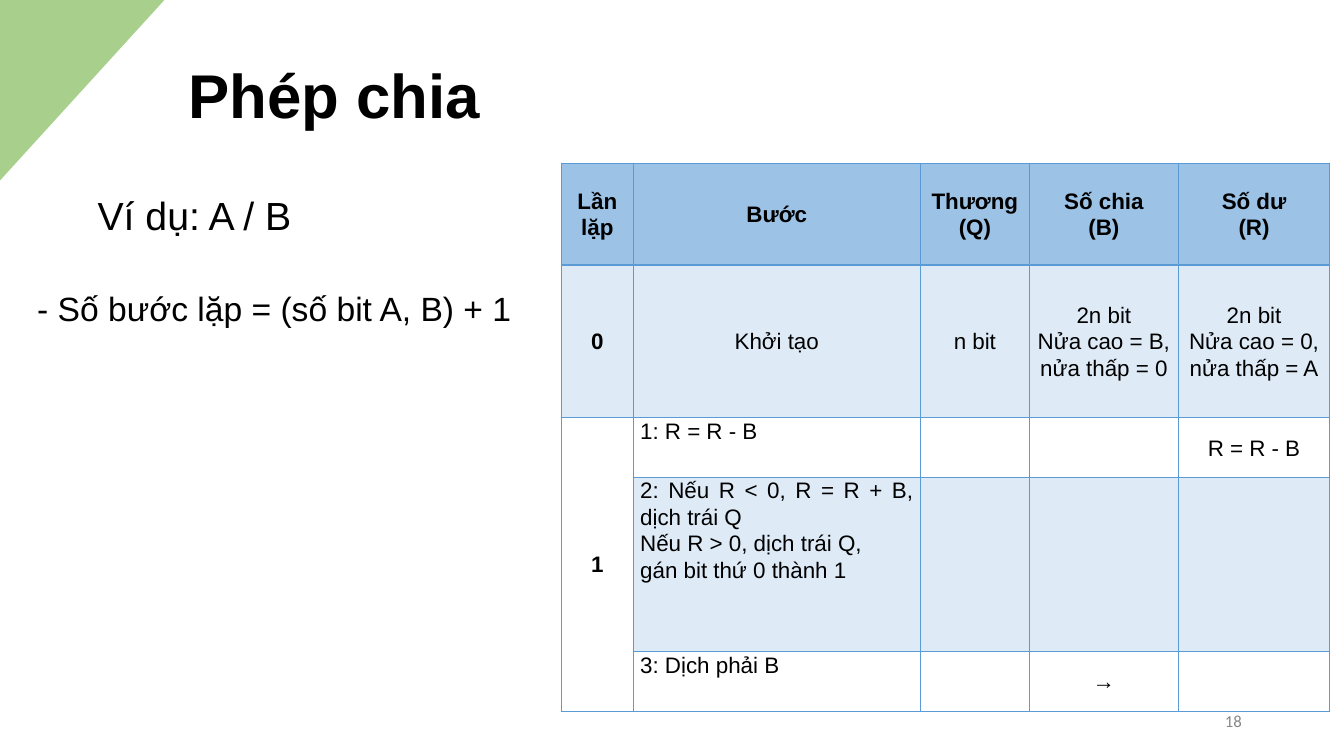
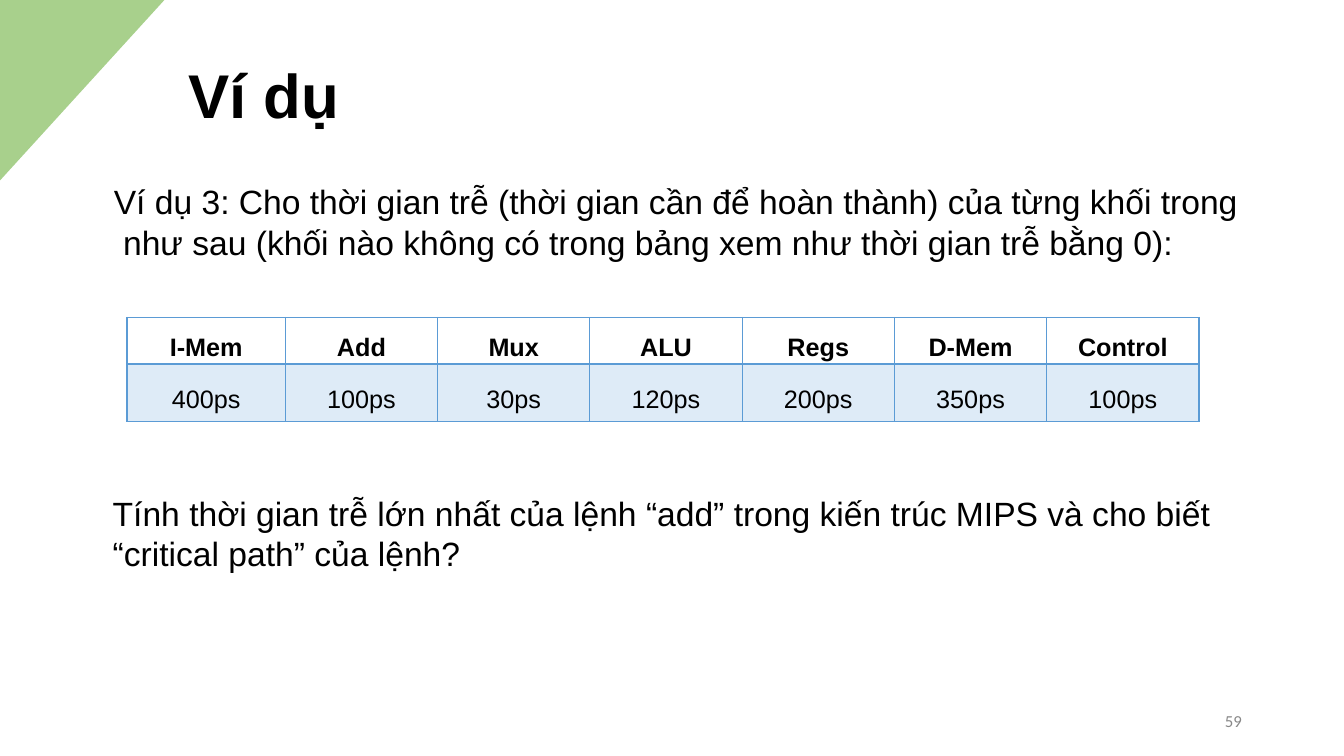
from lxml import etree
from pptx import Presentation, util as u
from pptx.dml.color import RGBColor
from pptx.enum import text as t
from pptx.oxml.ns import qn

BLACK = RGBColor(0x00, 0x00, 0x00)
WHITE = RGBColor(0xFF, 0xFF, 0xFF)
GREY = RGBColor(0x88, 0x88, 0x88)
GREEN = RGBColor(0xA8, 0xD0, 0x8C)
BLUE = RGBColor(0x5B, 0x9B, 0xD5)
HEADER_BLUE = RGBColor(0x9C, 0xC2, 0xE5)
PALE_BLUE = RGBColor(0xDE, 0xEB, 0xF7)

LEFT, CENTER, RIGHT, JUSTIFY = (
    t.PP_ALIGN.LEFT, t.PP_ALIGN.CENTER, t.PP_ALIGN.RIGHT, t.PP_ALIGN.JUSTIFY)
TOP, MIDDLE = t.MSO_ANCHOR.TOP, t.MSO_ANCHOR.MIDDLE

deck = Presentation()
deck.slide_width, deck.slide_height = u.Inches(13.33), u.Inches(7.5)
# One column or row is a hundredth of the slide's width or height.
COL, ROW = deck.slide_width / 100, deck.slide_height / 100


def write(frame, content, size=24, font="Arial", color=BLACK, bold=False,
          align=LEFT, anchor=TOP, spacing=1.0, hanging=0):
    """Fill a text frame, one paragraph per line of content."""
    frame.word_wrap = True
    frame.vertical_anchor = anchor
    for number, line in enumerate(content.split("\n")):
        paragraph = frame.paragraphs[0] if number == 0 else frame.add_paragraph()
        if hanging:
            properties = paragraph._p.get_or_add_pPr()
            properties.set("marL", str(u.Pt(hanging)))
            properties.set("indent", str(-u.Pt(hanging)))
        paragraph.alignment = align
        paragraph.line_spacing = spacing
        run = paragraph.add_run()
        run.text = line
        run.font.size, run.font.name = u.Pt(size), font
        run.font.bold, run.font.color.rgb = bold, color


def add_ruled_table(slide, left, top, widths, heights, rows, fills, size, spacing):
    """Draw a blue-ruled table with a bold header; fills holds one colour per row."""
    table = slide.shapes.add_table(
        len(rows), len(widths), int(left * COL), int(top * ROW),
        int(sum(widths) * COL), int(sum(heights) * ROW)).table
    table.first_row = table.horz_banding = False
    for column, width in zip(table.columns, widths):
        column.width = int(width * COL)
    for row, height in zip(table.rows, heights):
        row.height = int(height * ROW)
    for r, entries in enumerate(rows):
        for c, entry in enumerate(entries):
            cell = table.cell(r, c)
            cell.margin_left = cell.margin_right = u.Inches(0.07)
            cell.margin_top = cell.margin_bottom = 0
            cell.fill.solid()
            cell.fill.fore_color.rgb = fills[r]
            step = entry[1:2] == ":"
            cell.vertical_anchor = TOP if step else MIDDLE
            if entry:
                write(cell.text_frame, entry, size=size, spacing=spacing,
                      bold=r == 0 or entry.isdigit(),
                      align=JUSTIFY if step else CENTER,
                      anchor=TOP if step else MIDDLE)
                cell.vertical_anchor = TOP if step else MIDDLE
            for place, side in enumerate(("L", "R", "T", "B")):
                thick = (r, side) in ((0, "B"), (1, "T"))
                border = etree.Element(qn("a:ln" + side), w=str(u.Pt(2 if thick else 1)))
                paint = etree.SubElement(border, qn("a:solidFill"))
                etree.SubElement(paint, qn("a:srgbClr"), val=str(BLUE))
                cell._tc.get_or_add_tcPr().insert(place, border)
    return table


pages = [
    ("Phép chia", "18", [
        ("Ví dụ: A / B", (6.53, 24.67, 16.9, 7.6), {"size": 28}),
        ("- Số bước lặp = (số bit A, B) + 1", (2.03, 37.47, 39, 6.67), {}),
    ]),
    ("Ví dụ", "59", [
        ("Ví dụ 3: Cho thời gian trễ (thời gian cần để hoàn thành) của từng khối "
         "trong như sau (khối nào không có trong bảng xem như thời gian trễ bằng 0):",
         (7.73, 23.33, 85.5, 12.13), {"hanging": 6.67}),
        ("Tính thời gian trễ lớn nhất của lệnh “add” trong kiến trúc MIPS và cho biết "
         "“critical path” của lệnh?", (7.65, 64.53, 84.68, 17.47), {}),
    ]),
]

slides = []
for title, page_number, body in pages:
    slide = deck.slides.add_slide(deck.slide_layouts[6])
    outline = slide.shapes.build_freeform(0, 0)
    outline.add_line_segments([(int(12.23 * COL), 0), (0, int(23.87 * ROW))])
    corner = outline.convert_to_shape()
    corner.shadow.inherit = False
    corner.fill.solid()
    corner.fill.fore_color.rgb = GREEN
    corner.line.fill.background()

    shared = [
        (title, (13.28, 8.13, 75.83, 9.87),
         {"size": 44.1, "bold": True, "anchor": MIDDLE, "spacing": 0.9}),
        (page_number, (70.65, 92.67, 22.5, 5.33),
         {"size": 12, "font": "Calibri", "color": GREY, "align": RIGHT, "anchor": MIDDLE}),
    ]
    for content, (left, top, width, height), style in shared + body:
        box = slide.shapes.add_textbox(
            int(left * COL), int(top * ROW), int(width * COL), int(height * ROW))
        write(box.text_frame, content, **style)
    slides.append(slide)

division_slide, delay_slide = slides

division = add_ruled_table(
    division_slide, 41.78, 21.6,
    widths=[5.33, 21.38, 8.1, 11.1, 11.25],
    heights=[13.47, 20.2, 7.87, 23.07, 7.87],
    rows=[
        ["Lần lặp", "Bước", "Thương\n(Q)", "Số chia\n(B)", "Số dư\n(R)"],
        ["0", "Khởi tạo", "n bit", "2n bit\nNửa cao = B, nửa thấp = 0",
         "2n bit\nNửa cao = 0, nửa thấp = A"],
        ["1", "1: R = R - B", "", "", "R = R - B"],
        ["", "2: Nếu R < 0, R = R + B, dịch trái Q\nNếu R > 0, dịch trái Q,\n"
             "gán bit thứ 0 thành 1", "", "", ""],
        ["", "3: Dịch phải B", "", "→", ""],
    ],
    fills=[HEADER_BLUE, PALE_BLUE, WHITE, PALE_BLUE, WHITE],
    size=16, spacing=1.06)
division.cell(2, 0).merge(division.cell(4, 0))

add_ruled_table(
    delay_slide, 9.45, 42,
    widths=[11.78] + [11.33] * 6,
    heights=[6.13, 7.6],
    rows=[
        ["I-Mem", "Add", "Mux", "ALU", "Regs", "D-Mem", "Control"],
        ["400ps", "100ps", "30ps", "120ps", "200ps", "350ps", "100ps"],
    ],
    fills=[WHITE, PALE_BLUE], size=18, spacing=1.5)

deck.save("out.pptx")
